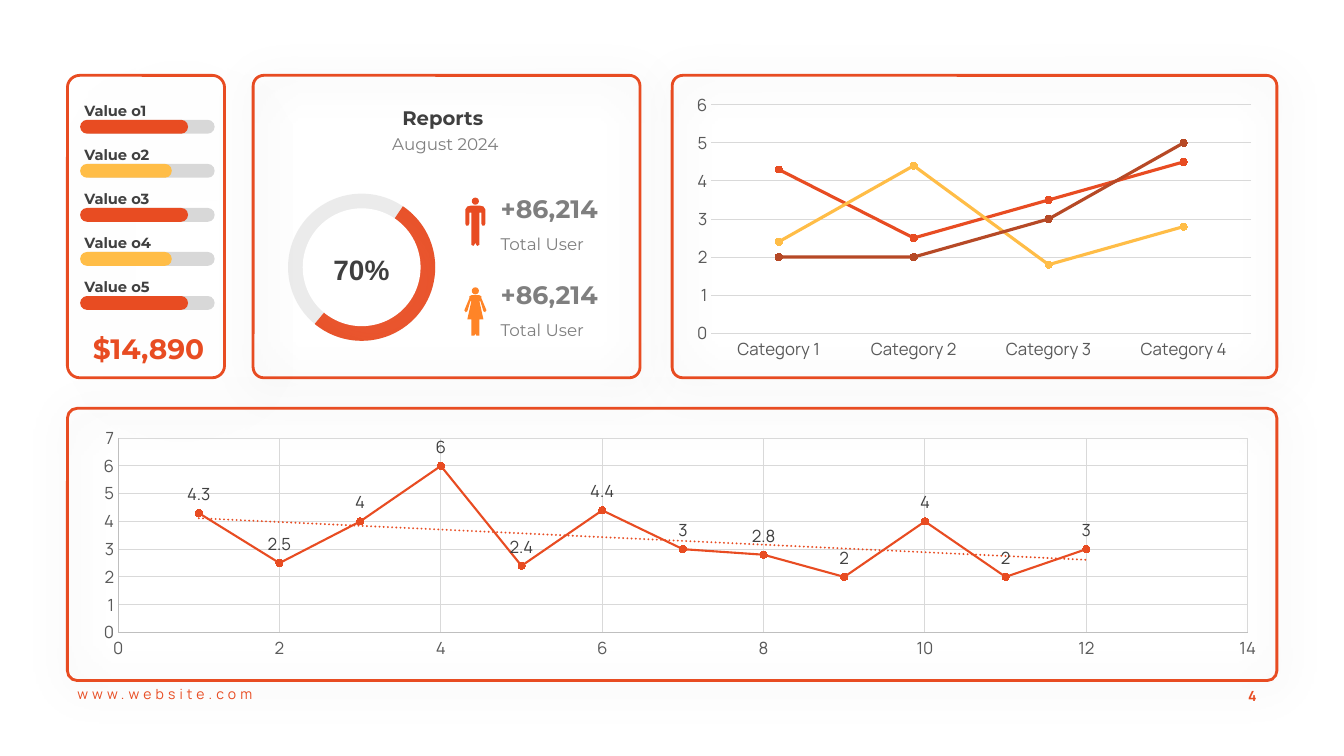
from lxml.etree import SubElement
from pptx import Presentation
from pptx.chart.data import CategoryChartData, XyChartData
from pptx.chart.datalabel import DataLabels
from pptx.dml.color import RGBColor
from pptx.enum.chart import XL_CHART_TYPE, XL_LABEL_POSITION, XL_MARKER_STYLE, XL_TICK_MARK
from pptx.enum.shapes import MSO_SHAPE
from pptx.enum.text import MSO_ANCHOR, PP_ALIGN
from pptx.oxml.ns import qn
from pptx.util import Cm, Pt

ROUND, OVAL, PIE = MSO_SHAPE.ROUNDED_RECTANGLE, MSO_SHAPE.OVAL, MSO_SHAPE.PIE
LEFT, MID = PP_ALIGN.LEFT, PP_ALIGN.CENTER
TOP, CENTER, BOTTOM = MSO_ANCHOR.TOP, MSO_ANCHOR.MIDDLE, MSO_ANCHOR.BOTTOM
LINE, CURVE = XL_CHART_TYPE.LINE_MARKERS, XL_CHART_TYPE.XY_SCATTER_SMOOTH
ABOVE, DOT, NONE = XL_LABEL_POSITION.ABOVE, XL_MARKER_STYLE.CIRCLE, XL_TICK_MARK.NONE

RED, GOLD, RUST, AMBER = "E84C22", "FFBD47", "B64926", "FF8427"
GREY, DARK, WHITE, BLACK, GRID = "7F7F7F", "3F3F3F", "FFFFFF", "000000", "D9D9D9"
SOFT, WIDE = (BLACK, 20, 30, 4.5, 67), (BLACK, 10, 80, 30, 35)

CARDS = [
    (16.94, 1.9, 15.24, 7.62, 0.035, SOFT),
    (6.38, 1.9, 9.75, 7.62, 0.035, SOFT),
    (1.7, 1.9, 3.96, 7.62, 0.078, WIDE),
    (1.7, 10.29, 30.48, 6.86, 0.036, SOFT),
]
BARS = [
    ("Value o1", RED, 2.72),
    ("Value o2", GOLD, 2.31),
    ("Value o3", RED, 2.72),
    ("Value o4", GOLD, 2.31),
    ("Value o5", RED, 2.72),
]
MAN = [(4.5, 0), (7.5, 1), (9.5, 4), (9.5, 18), (9, 19.5), (8, 20), (7, 19.5),
       (6.5, 18), (6.5, 7), (4.5, 7), (4.5, 37), (4, 39), (2.5, 40), (1, 39),
       (0.5, 37), (0.5, 20)]
WOMAN = [(4.5, 0), (6, 1), (6.5, 3), (10.7, 15), (10.5, 16.5), (9.5, 17),
         (8.5, 16.5), (5, 6), (4.5, 6), (8.5, 24), (4.5, 24), (4.5, 38),
         (4, 39.5), (2.5, 40), (1, 39.5), (0.5, 38), (0.5, 24)]
USERS = [
    ("+86,214", "Total User", MAN, RED, 4.98, 4.52),
    ("+86,214", "Total User", WOMAN, AMBER, 7.24, 6.7),
]
CATS = ["Category 1", "Category 2", "Category 3", "Category 4"]
LINES = [
    ("Series 1", (4.3, 2.5, 3.5, 4.5), RED),
    ("Series 2", (2.4, 4.4, 1.8, 2.8), GOLD),
    ("Series 3", (2, 2, 3, 5), RUST),
]
TREND = [4.3, 2.5, 4, 6, 2.4, 4.4, 3, 2.8, 2, 4, 2, 3]
PLOT = {"x": 0.056, "y": 0.066, "w": 0.934, "h": 0.803}

deck = Presentation()
deck.slide_width, deck.slide_height = Cm(33.87), Cm(19.05)
slide = deck.slides.add_slide(deck.slide_layouts[6])
shapes = slide.shapes


def tint(code):
    return RGBColor.from_string(code)


def text(words, x, y, w, h, size=12, color=GREY, bold=False, font="Montserrat",
         align=LEFT, anchor=TOP, lead=None, track=0, pad=(0.25, 0.13), top=None, wrap=True):
    frame = shapes.add_textbox(Cm(x), Cm(y), Cm(w), Cm(h)).text_frame
    frame.word_wrap, frame.vertical_anchor = wrap, anchor
    frame.margin_left = frame.margin_right = Cm(pad[0])
    frame.margin_bottom = Cm(pad[1])
    frame.margin_top = Cm(pad[1] if top is None else top)
    para = frame.paragraphs[0]
    para.alignment = align
    if lead:
        para.line_spacing = lead
    run = para.add_run()
    run.text = words
    run.font.size, run.font.bold, run.font.name = Pt(size), bold, font
    run.font.color.rgb = tint(color)
    if track:
        run.font._element.set("spc", str(track * 100))


def alpha(node, share):
    SubElement(node, qn("a:alpha"), val=str(share * 1000))


def paint(shape, fill=None, line=None, shade=None):
    shape.shadow.inherit = False
    if fill:
        shape.fill.solid()
        shape.fill.fore_color.rgb = tint(fill)
    else:
        shape.fill.background()
    if line:
        shape.line.color.rgb, shape.line.width = tint(line), Pt(2)
    else:
        shape.line.fill.background()
    if shade:
        color, share, blur, dist, turn = shade
        glow = SubElement(shape._element.spPr.find(qn("a:effectLst")), qn("a:outerShdw"),
                          blurRad=str(Pt(blur)), dist=str(Pt(dist)),
                          dir=str(turn * 60000), algn="ctr", rotWithShape="0")
        alpha(SubElement(glow, qn("a:srgbClr"), val=color), share)


def draw(kind, x, y, w, h, adj=(), **look):
    shape = shapes.add_shape(kind, Cm(x), Cm(y), Cm(w), Cm(h))
    for i, value in enumerate(adj):
        shape.adjustments[i] = value
    paint(shape, **look)
    return shape


def person(half, y, color):
    draw(OVAL, 11.89, y, 0.18, 0.18, fill=color)
    dots = half + [(-dx, dy) for dx, dy in reversed(half)]
    pen = shapes.build_freeform(*dots[0], scale=Cm(0.0254))
    pen.add_line_segments(dots[1:], close=True)
    paint(pen.convert_to_shape(Cm(11.98), Cm(y + 0.2)), fill=color)


def plot(kind, data, x, y, w, h):
    chart = shapes.add_chart(kind, Cm(x), Cm(y), Cm(w), Cm(h), data).chart
    chart.has_legend = chart.has_title = False
    chart.font.name, chart.font.size = "Manrope", Pt(10)
    chart.plots[0].vary_by_categories = False
    return chart


def scale(axis, line=None, grid=True, top=None, step=None):
    axis.major_tick_mark = axis.minor_tick_mark = NONE
    font = axis.tick_labels.font
    font.size, font.name, font.color.rgb = Pt(12), "Manrope", tint("595959")
    if line:
        axis.format.line.color.rgb, axis.format.line.width = tint(line), Pt(0.75)
    else:
        axis.format.line.fill.background()
    axis.has_major_gridlines = grid
    if grid:
        rule = axis.major_gridlines.format.line
        rule.color.rgb, rule.width = tint(GRID), Pt(0.75)
    if top:
        axis.minimum_scale, axis.maximum_scale, axis.major_unit = 0, top, step


def trace(series, color, width, smooth):
    series.smooth = smooth
    series.format.line.color.rgb, series.format.line.width = tint(color), Pt(width)
    mark = series.marker
    mark.style, mark.size = DOT, 5
    mark.format.fill.solid()
    mark.format.fill.fore_color.rgb = mark.format.line.color.rgb = tint(color)


for x, y, w, h, bend, shade in CARDS:
    draw(ROUND, x, y, w, h, [bend], line=RED, shade=shade)

for i, (label, color, w) in enumerate(BARS):
    y = 2.22 + i * 1.11
    text(label, 1.88, y, 2.51, 0.94, size=10.5, color="404040", bold=True, lead=1.5)
    draw(ROUND, 2.11, y + 0.8, 3.3, 0.35, [0.5], fill="D8D8D8")
    draw(ROUND, 2.02, y + 0.8, w, 0.35, [0.5], fill=color)
text("$14,890", 1.47, 8, 4.55, 1.37, size=20, color=RED, bold=True, align=MID,
     lead=1.2, pad=(0.33, 0.18))

text("Reports ", 9.68, 2.54, 3.1, 0.86, size=14, color=DARK, bold=True, align=MID)
text("August 2024", 9.37, 3.25, 3.71, 0.76, align=MID)
ring = draw(OVAL, 7.26, 4.88, 3.71, 3.71, fill=GREY)
alpha(ring._element.spPr.find(qn("a:solidFill"))[0], 15)
draw(PIE, 7.26, 4.88, 3.71, 3.71, [182.45, 77.78], fill=RED)
draw(OVAL, 7.63, 5.25, 2.97, 2.97, fill=WHITE, shade=(WHITE, 19, 100, 11, 45))
text("70%", 8.08, 6.22, 2.06, 0.89, size=20, color=DARK, bold=True, font="Arial",
     align=MID, anchor=CENTER, lead=1.45, top=0)
for count, label, half, color, head, y in USERS:
    person(half, head, color)
    text(count, 12.37, y, 4.22, 1.24, size=18, bold=True, anchor=BOTTOM, lead=1.3)
    text(label, 12.37, y + 1.08, 4.22, 0.91, lead=1.3)

data = CategoryChartData()
data.categories = CATS
for name, values, _ in LINES:
    data.add_series(name, values)
chart = plot(LINE, data, 17.27, 2.21, 14.55, 7.01)
scale(chart.category_axis, line=GRID, grid=False)
scale(chart.value_axis, top=6, step=1)
for series, (_, _, color) in zip(chart.plots[0].series, LINES):
    trace(series, color, 2.25, False)

data = XyChartData()
dots = data.add_series("Series 1")
for x, y in enumerate(TREND, 1):
    dots.add_data_point(x, y)
chart = plot(CURVE, data, 1.27, 10.64, 30.48, 6.1)
scale(chart.category_axis, line="BFBFBF", top=14, step=2)
scale(chart.value_axis, line="BFBFBF", top=7, step=1)
series = chart.plots[0].series[0]
trace(series, RED, 1.5, True)
tags = DataLabels(series._element.get_or_add_dLbls())
tags.show_value, tags.position = True, ABOVE
tags.font.size, tags.font.name, tags.font.color.rgb = Pt(12), "Manrope", tint("404040")

trend = SubElement(series._element, qn("c:trendline"))
series._element.find(qn("c:xVal")).addprevious(trend)
stroke = SubElement(SubElement(trend, qn("c:spPr")), qn("a:ln"), w=str(Pt(1.5)), cap="rnd")
SubElement(SubElement(stroke, qn("a:solidFill")), qn("a:srgbClr"), val=RED)
SubElement(stroke, qn("a:prstDash"), val="sysDot")
for tag, value in (("trendlineType", "linear"), ("dispRSqr", "0"), ("dispEq", "0")):
    SubElement(trend, qn("c:" + tag), val=value)

area = chart._chartSpace.chart.plotArea
for old in area.findall(qn("c:layout")):
    area.remove(old)
frame = SubElement(area, qn("c:layout"))
area.insert(0, frame)
frame = SubElement(frame, qn("c:manualLayout"))
SubElement(frame, qn("c:layoutTarget"), val="inner")
for key in "xy":
    SubElement(frame, qn(f"c:{key}Mode"), val="edge")
for key, value in PLOT.items():
    SubElement(frame, qn("c:" + key), val=str(value))

text("www.website.com", 1.7, 17.15, 7.24, 0.69, size=10, color=RED, font="Manrope", track=3)
text("4", 30.94, 17.2, 1.24, 0.69, size=10, color=RED, bold=True, font="Manrope",
     align=MID, anchor=CENTER, track=2, wrap=False)

deck.save("out.pptx")
